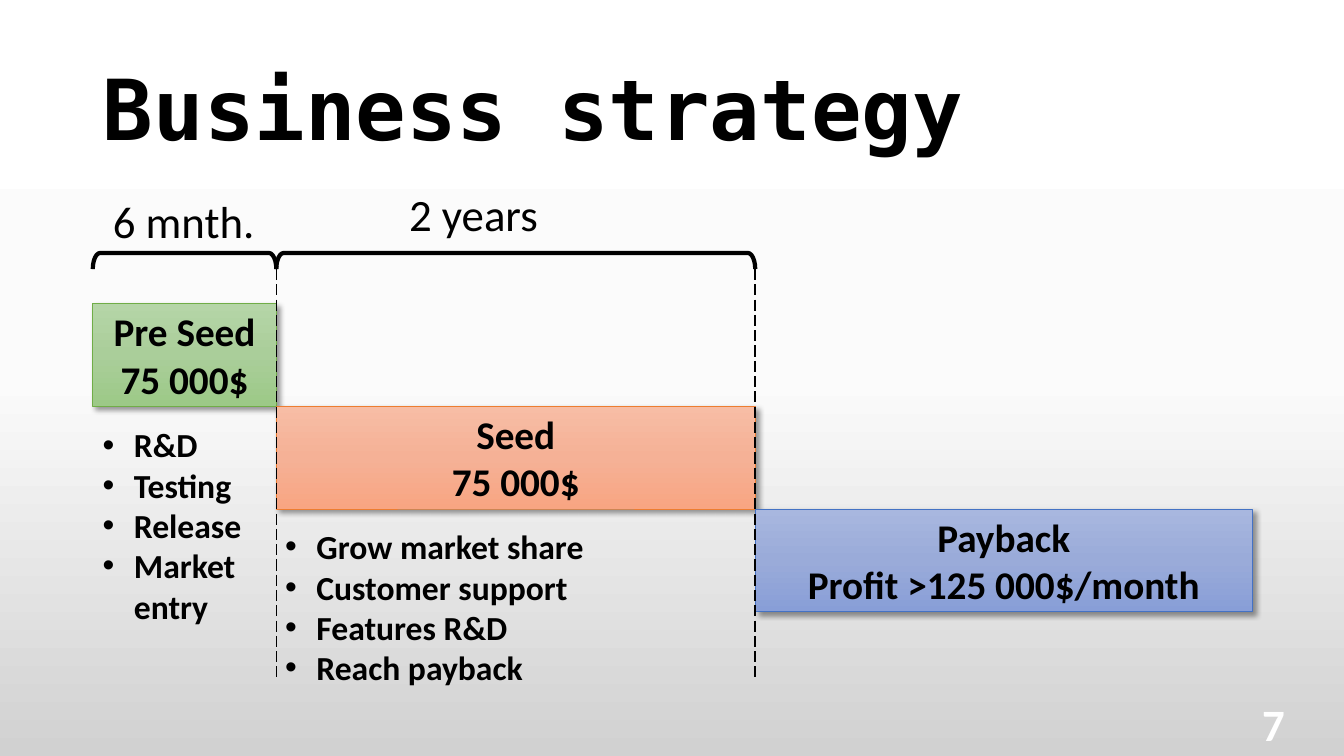
from copy import deepcopy
from dataclasses import dataclass

from lxml.etree import SubElement
from pptx import Presentation
from pptx.dml.color import RGBColor
from pptx.enum.dml import MSO_LINE_DASH_STYLE as Dash
from pptx.enum.shapes import MSO_CONNECTOR as Connector, MSO_SHAPE as Shape
from pptx.enum.text import MSO_ANCHOR as Anchor, MSO_AUTO_SIZE as AutoSize, PP_ALIGN as Align
from pptx.oxml.ns import qn
from pptx.util import Inches, Pt


@dataclass(frozen=True)
class Theme:
    """Colours, fonts and type sizes of the slide."""
    ink: str = "000000"
    paper: str = "FFFFFF"
    background: tuple = ("FFFFFF", "FBFBFB", "D1D1D1")
    green: tuple = ("B5D5A7", "AACE9A", "9CC987")
    orange: tuple = ("F7BDA5", "F5B196", "F8A582")
    blue: tuple = ("A8B7DF", "9AABD9", "889ED7")
    green_edge: str = "70AD47"
    orange_edge: str = "ED7D31"
    blue_edge: str = "4472C4"
    body_font: str = "Calibri"
    title_font: str = "DejaVu Sans Mono"
    title_size: int = 60
    label_size: int = 32
    stage_size: int = 28
    list_size: int = 24


class StrategySlide:
    """Draws the elements of the funding timeline on one slide."""

    def __init__(self, presentation, theme):
        self.theme = theme
        self.slide = presentation.slides.add_slide(presentation.slide_layouts[5])
        self.paint_gradient(self.slide.background.fill, self.slide.element, theme.background)

    def paint_gradient(self, fill, element, colours):
        fill.gradient()
        fill.gradient_angle = 270
        stop_list = next(element.iter(qn("a:gsLst")))
        stop_list.append(deepcopy(stop_list[0]))
        for stop, colour, position in zip(fill.gradient_stops, colours, (0, 0.5, 1)):
            stop.color.rgb = RGBColor.from_string(colour)
            stop.position = position

    def set_lines(self, frame, lines, size, bold=True, colour=None, font=None, align=Align.LEFT, bullets=False):
        style = {"name": font or self.theme.body_font, "size": Pt(size), "bold": bold}
        for index, line in enumerate(lines):
            paragraph = frame.paragraphs[0] if index == 0 else frame.add_paragraph()
            paragraph.text = line
            paragraph.alignment = align
            if bullets:
                properties = paragraph._p.get_or_add_pPr()
                properties.set("marL", str(Inches(0.31)))
                properties.set("indent", str(Inches(-0.31)))
                SubElement(properties, qn("a:buFont"), typeface="Arial")
                SubElement(properties, qn("a:buChar"), char="•")
            text_font = paragraph.runs[0].font
            for name, value in style.items():
                setattr(text_font, name, value)
            text_font.color.rgb = RGBColor.from_string(colour or self.theme.ink)

    def title(self, text, box):
        shape = self.slide.shapes.title
        for name, value in zip(("left", "top", "width", "height"), box):
            setattr(shape, name, Inches(value))
        frame = shape.text_frame
        frame.vertical_anchor = Anchor.MIDDLE
        self.set_lines(frame, [text], self.theme.title_size, font=self.theme.title_font)
        frame.paragraphs[0].line_spacing = 0.9

    def text(self, lines, box, size, wrap=True, **style):
        frame = self.slide.shapes.add_textbox(*map(Inches, box)).text_frame
        frame.word_wrap = wrap
        frame.auto_size = AutoSize.SHAPE_TO_FIT_TEXT
        self.set_lines(frame, lines, size, **style)

    def stage(self, lines, box, colours, edge):
        shape = self.slide.shapes.add_shape(Shape.RECTANGLE, *map(Inches, box))
        self.paint_gradient(shape.fill, shape.element, colours)
        self.stroke(shape.line, edge, 0.5)
        self.cast_shadow(shape)
        frame = shape.text_frame
        frame.word_wrap = True
        frame.vertical_anchor = Anchor.MIDDLE
        self.set_lines(frame, lines, self.theme.stage_size, align=Align.CENTER)

    def cast_shadow(self, shape):
        shape.shadow.inherit = False
        effects = shape.element.spPr.find(qn("a:effectLst"))
        shadow = SubElement(effects, qn("a:outerShdw"), blurRad=str(Pt(4)), dist=str(Pt(3)),
                            dir=str(45 * 60000), algn="tl", rotWithShape="0")
        colour = SubElement(shadow, qn("a:srgbClr"), val=self.theme.ink)
        SubElement(colour, qn("a:alpha"), val="40000")

    def stroke(self, line, colour, width):
        line.color.rgb = RGBColor.from_string(colour)
        line.width = Pt(width)

    def bracket(self, left, right, middle=2.59, depth=0.16):
        span = right - left
        box = ((left + right - depth) / 2, middle - span / 2, depth, span)
        shape = self.slide.shapes.add_shape(Shape.LEFT_BRACKET, *map(Inches, box))
        shape.rotation = 90
        shape.adjustments[0] = 0.46
        shape.shadow.inherit = False
        shape.fill.background()
        self.stroke(shape.line, self.theme.ink, 3)

    def divider(self, x, top=2.67, bottom=6.76):
        ends = map(Inches, (x, top, x, bottom))
        connector = self.slide.shapes.add_connector(Connector.STRAIGHT, *ends)
        self.stroke(connector.line, self.theme.ink, 1)
        connector.line.dash_style = Dash.LONG_DASH
        SubElement(connector.element.spPr, qn("a:effectLst"))


def main():
    theme = Theme()
    presentation = Presentation()
    presentation.slide_width = Inches(13.33)
    presentation.slide_height = Inches(7.5)
    page = StrategySlide(presentation, theme)

    page.text(["7"], (12.42, 6.86, 0.92, 0.64), theme.label_size, colour=theme.paper)
    page.title("Business strategy", (0.92, 0.4, 11.5, 1.45))

    edges = (0.92, 2.74, 7.49, 12.42)
    spans = list(zip(edges, edges[1:]))
    stages = (
        (["Pre Seed 75 000$"], theme.green, theme.green_edge),
        (["Seed", "75 000$"], theme.orange, theme.orange_edge),
        (["Payback", "Profit >125 000$/month"], theme.blue, theme.blue_edge),
    )
    height = 1.02
    for step, ((left, right), (lines, colours, edge)) in enumerate(zip(spans, stages)):
        page.stage(lines, (left, 3.01 + step * height, right - left, height), colours, edge)

    for left, right in spans[:2]:
        page.bracket(left, right)
    for left, right in spans[:2]:
        page.divider(right)

    durations = (("6 mnth.", (1.02, 1.87, 1.62, 0.64)), ("2 years", (3.96, 1.8, 1.49, 0.64)))
    for label, box in durations:
        page.text([label], box, theme.label_size, wrap=False, bold=False)

    goals = (
        (["R&D", "Testing", "Release", "Market entry"], (0.92, 4.16, 1.83, 2.12)),
        (["Grow market share", "Customer support", "Features R&D", "Reach payback"],
         (2.73, 5.17, 3.61, 1.72)),
    )
    for lines, box in goals:
        page.text(lines, box, theme.list_size, bullets=True)

    presentation.save("out.pptx")


if __name__ == "__main__":
    main()
